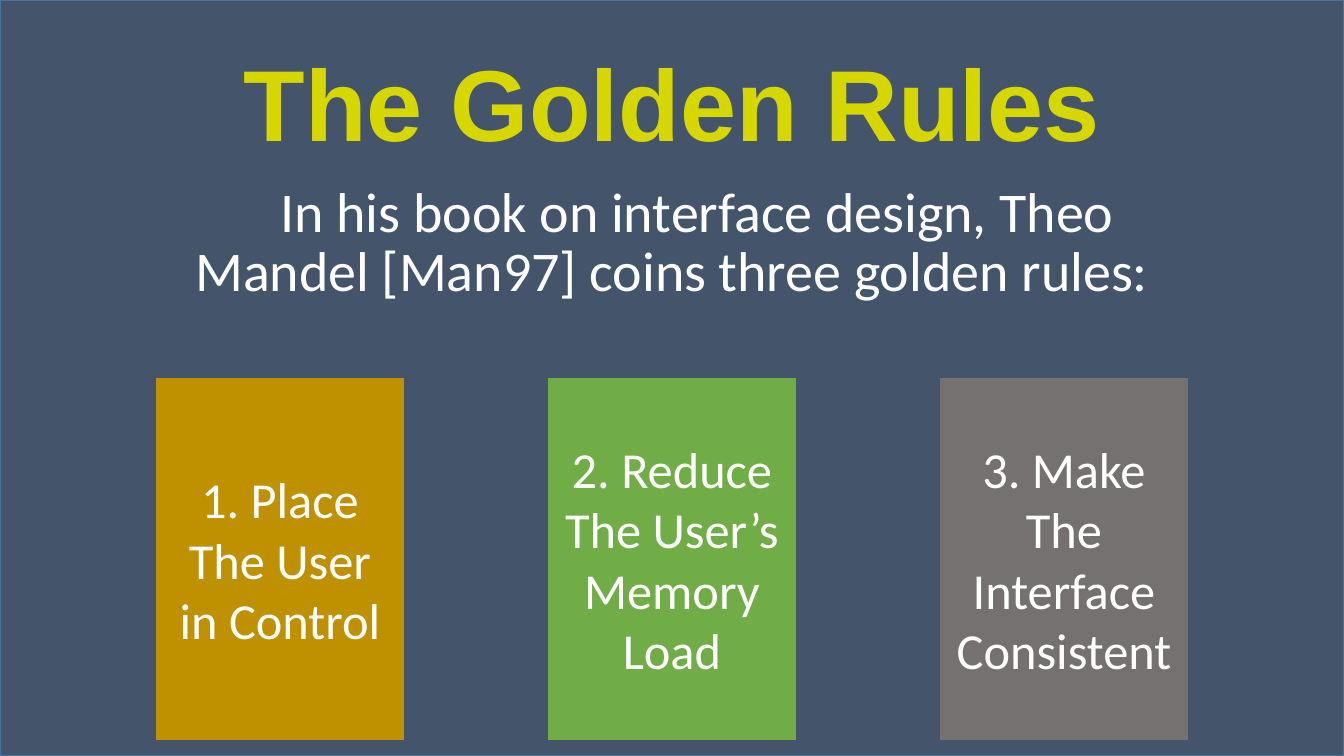
from pptx import Presentation
from pptx.dml.color import RGBColor
from pptx.enum.shapes import MSO_SHAPE
from pptx.enum.text import MSO_ANCHOR, MSO_AUTO_SIZE, PP_ALIGN
from pptx.util import Pt

RECTANGLE = MSO_SHAPE.RECTANGLE
MIDDLE, BOTTOM = MSO_ANCHOR.MIDDLE, MSO_ANCHOR.BOTTOM
NO_AUTOFIT = MSO_AUTO_SIZE.NONE
CENTER = PP_ALIGN.CENTER

COLORS = {
    "slate": "44546A",
    "edge": "43739E",
    "yellow": "D7D700",
    "white": "FFFFFF",
    "gold": "BF9000",
    "green": "70AD47",
    "gray": "767171",
}


def color(name):
    return RGBColor.from_string(COLORS[name])


def write(shape, text, anchor, spacing, ink, font):
    frame = shape.text_frame
    frame.word_wrap = True
    frame.auto_size = NO_AUTOFIT
    frame.vertical_anchor = anchor
    para = frame.paragraphs[0]
    para.alignment = CENTER
    para.line_spacing = spacing
    span = para.add_run()
    span.text = text
    span.font.color.rgb = color(ink)
    for name, value in font.items():
        setattr(span.font, name, value)


deck = Presentation()
deck.slide_width, deck.slide_height = Pt(960), Pt(540)
page = deck.slides.add_slide(deck.slide_layouts[5])

backdrop = page.shapes.add_shape(RECTANGLE, 0, 0, deck.slide_width, deck.slide_height)
backdrop.shadow.inherit = False
backdrop.fill.solid()
backdrop.fill.fore_color.rgb = color("slate")
backdrop.line.color.rgb = color("edge")
backdrop.line.width = Pt(1)

title = page.shapes.title
title_place = {"left": 140.4, "top": 23.8, "width": 679.7, "height": 107.3}
for name, value in title_place.items():
    setattr(title, name, Pt(value))
write(title, "The Golden Rules", MIDDLE, 0.9, "yellow",
      {"name": "Arial", "size": Pt(72), "bold": True})
title.element.getparent().append(title.element)

intro = page.shapes.add_textbox(Pt(111.6), Pt(109.4), Pt(736.6), Pt(160.6))
intro.text_frame.margin_bottom = Pt(53)
write(intro, "\tIn his book on interface design, Theo Mandel [Man97] coins three golden rules:",
      BOTTOM, 0.88, "white", {"name": "Calibri", "size": Pt(40)})

rules = [
    ("1. Place The User in Control", "gold"),
    ("2. Reduce The User’s Memory Load", "green"),
    ("3. Make The Interface Consistent", "gray"),
]
for index, (rule, fill) in enumerate(rules):
    box = page.shapes.add_shape(RECTANGLE, Pt(111.5 + 280 * index), Pt(270), Pt(177), Pt(258.5))
    box.shadow.inherit = False
    box.fill.solid()
    box.fill.fore_color.rgb = color(fill)
    box.line.fill.background()
    write(box, rule, MIDDLE, 1.0, "white", {"name": "Calibri", "size": Pt(36)})

deck.save("out.pptx")
